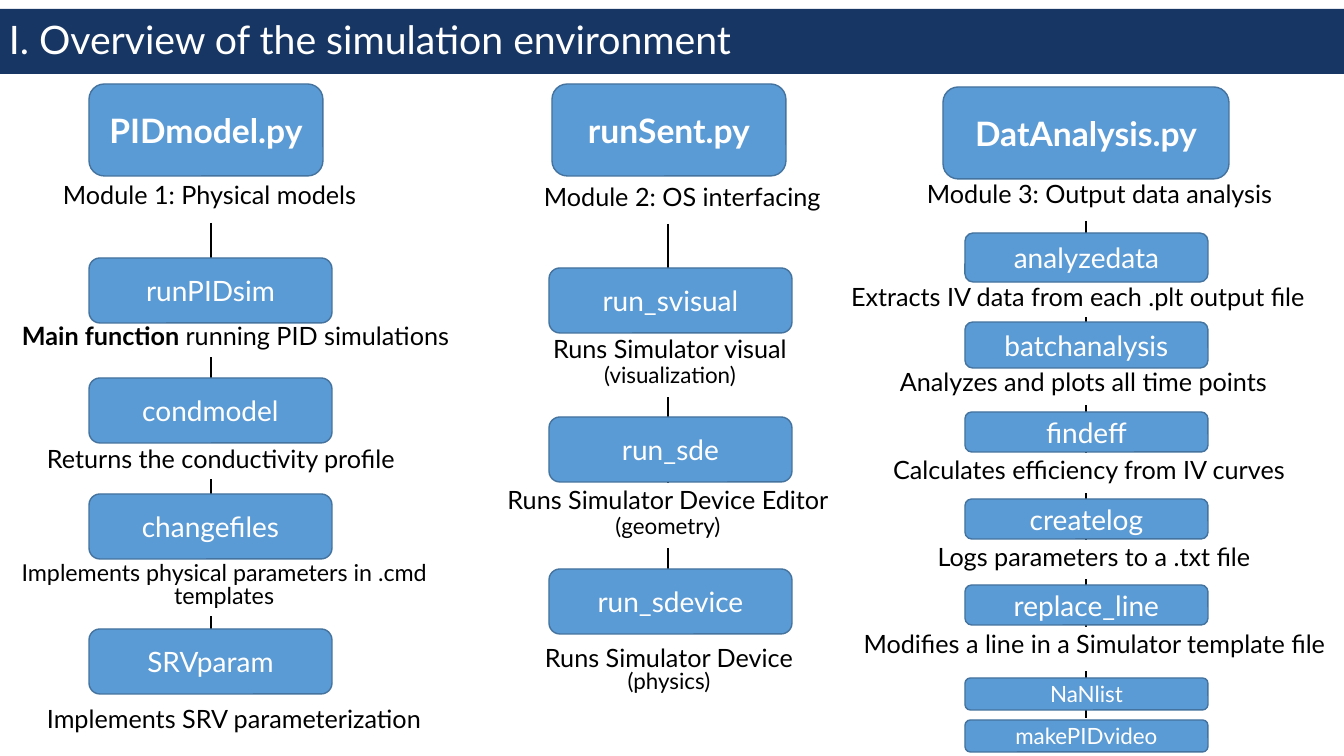
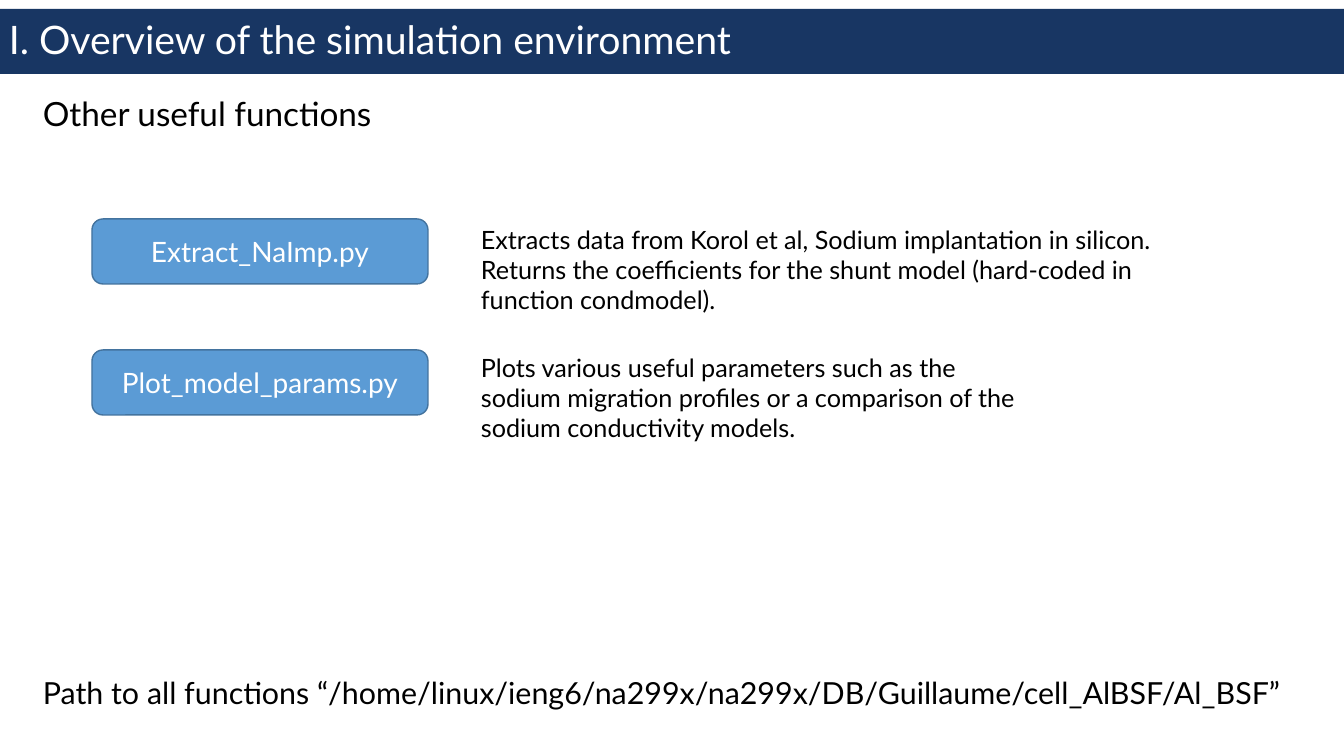
from dataclasses import dataclass

from lxml import etree
from pptx import Presentation
from pptx import util as u
from pptx.dml.color import RGBColor
from pptx.enum import shapes, text
from pptx.oxml.ns import qn


@dataclass(frozen=True)
class Theme:
    font: str = "Lato"
    navy: str = "183663"
    blue: str = "5B9BD5"
    edge: str = "43739E"
    white: str = "FFFFFF"
    black: str = "000000"
    title: float = 28
    module: float = 24
    heading: float = 23.8
    footer: float = 21.7
    function: float = 20
    body: float = 18
    tight: float = 16.6
    small: float = 16


theme = Theme()
PX = 914400 / 100.8
LEFT, CENTER = text.PP_ALIGN.LEFT, text.PP_ALIGN.CENTER
TITLE = "I. Overview of the simulation environment"


def add_label(page, place, spans, size=theme.body, color=theme.black, fill=None,
              align=LEFT, spacing=1.0, bold=False, rounded=False, middle=False):
    place = [u.Emu(round(length * PX)) for length in place]
    if rounded:
        box = page.shapes.add_shape(shapes.MSO_SHAPE.ROUNDED_RECTANGLE, *place)
        box.shadow.inherit = False
        box.line.color.rgb = RGBColor.from_string(theme.edge)
        box.line.width = u.Pt(1)
    else:
        box = page.shapes.add_textbox(*place)
    if fill:
        box.fill.solid()
        box.fill.fore_color.rgb = RGBColor.from_string(fill)
    frame = box.text_frame
    frame.word_wrap = True
    frame.vertical_anchor = text.MSO_ANCHOR.MIDDLE if middle else text.MSO_ANCHOR.TOP
    para = frame.paragraphs[0]
    para.alignment = align
    para.line_spacing = spacing
    para.font.name = theme.font
    para.font.size = u.Pt(size)
    para.font.bold = bold
    para.font.color.rgb = RGBColor.from_string(color)
    for words, changes in spans:
        span = para.add_run()
        span.text = words.rstrip("\n")
        if "size" in changes:
            span.font.size = u.Pt(changes["size"])
        if "bold" in changes:
            span.font.bold = changes["bold"]
        if words.endswith("\n"):
            para.add_line_break()


def add_page(deck):
    page = deck.slides.add_slide(deck.slide_layouts[6])
    add_label(page, (-1, 9, 1345, 65), [(TITLE, {})], theme.title, theme.white,
              theme.navy, spacing=0.9, middle=True)
    return page


deck = Presentation()
deck.slide_width = u.Emu(round(1344 * PX))
deck.slide_height = u.Emu(round(756 * PX))
button = dict(color=theme.white, fill=theme.blue, align=CENTER, rounded=True, middle=True)
small = {"size": theme.small}

modules = [
    dict(
        name="PIDmodel.py", header=(89, 84, 234, 92), line=(211, 223, 694), left=89,
        functions=[("runPIDsim", 258, 65), ("condmodel", 378, 65),
                   ("changefiles", 494, 65), ("SRVparam", 629, 65)],
        captions=[
            ((53, 178, 332, 38), LEFT, 0.9, [("Module 1: Physical models", {})]),
            ((12, 319, 463, 38), LEFT, 0.9,
             [("Main function ", {"bold": True}), ("running PID simulations", {})]),
            ((37, 442, 410, 37), LEFT, 0.9, [("Returns the conductivity profile", {})]),
            ((0, 559, 448, 57), CENTER, 0.8,
             [("Implements physical parameters in .cmd templates", {"size": theme.tight})]),
            ((37, 702, 410, 53), LEFT, 0.9, [("Implements SRV parameterization", {})]),
        ],
    ),
    dict(
        name="runSent.py", header=(552, 84, 234, 92), line=(668, 224, 617), left=549,
        functions=[("run_svisual", 268, 65), ("run_sde", 417, 65), ("run_sdevice", 569, 65)],
        captions=[
            ((534, 180, 304, 38), LEFT, 0.9, [("Module 2: OS interfacing", {})]),
            ((518, 332, 304, 65), CENTER, 0.9,
             [("Runs Simulator visual\n", {}), ("(visualization)", small)]),
            ((439, 483, 458, 65), CENTER, 0.9,
             [("Runs Simulator Device Editor\n", {}), ("(geometry)", small)]),
            ((498, 643, 342, 57), CENTER, 0.8,
             [("Runs Simulator Device\n", {}), ("(physics)", small)]),
        ],
    ),
    dict(
        name="DatAnalysis.py", header=(943, 87, 286, 92), line=(1086, 221, 718), left=965,
        functions=[("analyzedata", 233, 49), ("batchanalysis", 322, 46), ("findeff", 412, 40),
                   ("createlog", 499, 40), ("replace_line", 585, 40),
                   ("NaNlist", 678, 32), ("makePIDvideo", 720, 32)],
        captions=[
            ((917, 177, 383, 38), LEFT, 0.9, [("Module 3: Output data analysis", {})]),
            ((839, 280, 478, 37), CENTER, 0.9,
             [("Extracts IV data from each .plt output file", {})]),
            ((862, 365, 443, 40), CENTER, 0.9, [("Analyzes and plots all time points", {})]),
            ((879, 453, 420, 40), CENTER, 0.9, [("Calculates efficiency from IV curves", {})]),
            ((884, 540, 420, 39), CENTER, 0.9, [("Logs parameters to a .txt file", {})]),
            ((845, 627, 499, 44), CENTER, 0.9,
             [("Modifies a line in a Simulator template file", {})]),
        ],
    ),
]

page = add_page(deck)
for module in modules:
    x, top, bottom = [u.Emu(round(length * PX)) for length in module["line"]]
    line = page.shapes.add_connector(shapes.MSO_CONNECTOR.STRAIGHT, x, top, x, bottom)
    line.line.color.rgb = RGBColor.from_string(theme.black)
    line.line.width = u.Pt(1.5)
    etree.SubElement(line._element.spPr, qn("a:effectLst"))
    for place, align, spacing, spans in module["captions"]:
        add_label(page, place, spans, fill=theme.white, align=align, spacing=spacing)
    add_label(page, module["header"], [(module["name"], {})], theme.module, bold=True, **button)
    for name, top, height in module["functions"]:
        size = theme.function if height >= 40 else theme.small
        add_label(page, (module["left"], top, 243, height), [(name, {})], size, **button)

page = add_page(deck)
add_label(page, (33, 96, 372, 65), [("Other useful functions", {})], theme.heading, spacing=0.8)
scripts = [
    ("Extract_NaImp.py", 219, (471, 219, 715, 102),
     [("Extracts data from Korol et al, Sodium implantation in silicon.\n", {}),
      ("Returns the coefficients for the shunt model (hard-coded in function condmodel).", {})]),
    ("Plot_model_params.py", 350, (471, 347, 573, 102),
     [("Plots various useful parameters such as the sodium migration profiles "
       "or a comparison of the sodium conductivity models.", {})]),
]
for name, top, place, spans in scripts:
    add_label(page, (92, top, 336, 65), [(name, {})], theme.function, **button)
    add_label(page, place, spans)
add_label(page, (33, 679, 1310, 65),
          [("Path to all functions “/home/linux/ieng6/na299x/na299x/DB/Guillaume/cell_AlBSF/Al_BSF”",
            {})], theme.footer, spacing=0.7)

deck.save("out.pptx")
